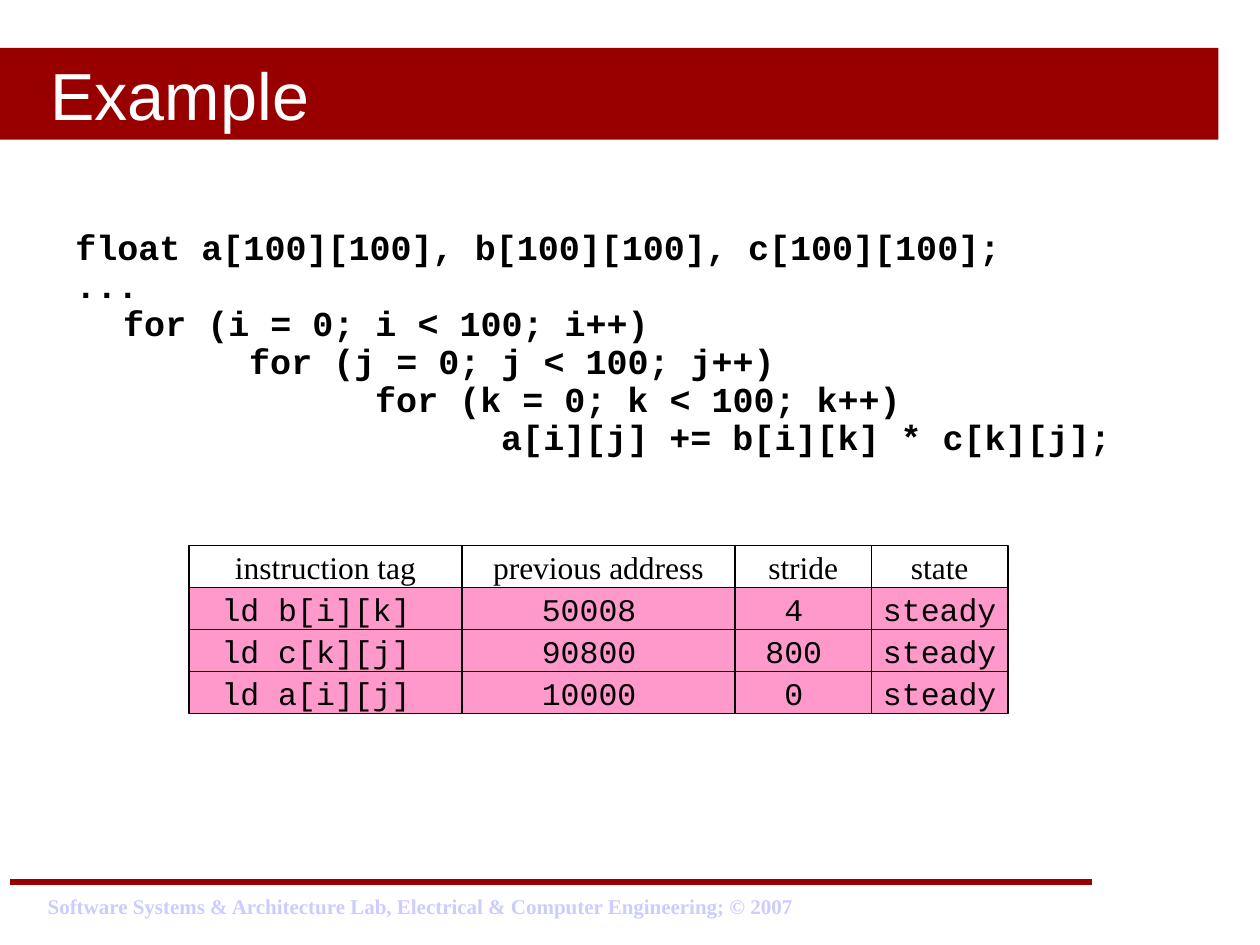
from itertools import accumulate

from pptx import Presentation
from pptx.dml.color import RGBColor
from pptx.enum.shapes import MSO_CONNECTOR as CONN, MSO_SHAPE as SHAPE
from pptx.enum.text import MSO_ANCHOR as ANCHOR, PP_ALIGN as ALIGN
from pptx.oxml.ns import qn
from pptx.util import Inches, Pt
from lxml.etree import SubElement

TITLE = "Example"
FOOTER = "Software Systems & Architecture Lab, Electrical & Computer Engineering; © 2007"
CODE = [
    (0, "float a[100][100], b[100][100], c[100][100];"),
    (0, "..."),
    (0.38, "for (i = 0; i < 100; i++)"),
    (1.38, "for (j = 0; j < 100; j++)"),
    (2.38, "for (k = 0; k < 100; k++)"),
    (3.38, "a[i][j] += b[i][k] * c[k][j];"),
]
ROWS = [
    ("instruction tag", "previous address", "stride", "state"),
    ("ld b[i][k] ", "50008 ", "4 ", " steady "),
    ("ld c[k][j] ", "90800 ", "800 ", " steady "),
    ("ld a[i][j] ", "10000 ", "0 ", " steady "),
]
GRID_LEFT, GRID_TOP = 1.5, 4.33
UNIT = 13 / 12
COL_WIDTHS = [2 * UNIT, 2 * UNIT, UNIT, UNIT]
ROW_HEIGHT = 1 / 3
THEME = {
    "red": "980000", "pink": "FF99CC", "border": "000000",
    "title": ("Arial", 38, "FFFFFF", False),
    "code": ("Courier New", 20, "000000", True),
    "head": ("Times New Roman", 18, "000000", False),
    "cell": ("Courier New", 18, "000000", False),
    "footer": ("Times New Roman", 12, "CCCCFF", True),
}


def color(name):
    return RGBColor.from_string(THEME[name])


def add_run(p, text, style):
    name, size, rgb, bold = THEME[style]
    r = p.add_run()
    r.text = text
    r.font.name, r.font.size, r.font.bold = name, Pt(size), bold
    r.font.color.rgb = RGBColor.from_string(rgb)


def add_text_box(s, left, top, width, height, wrap):
    tf = s.shapes.add_textbox(*map(Inches, (left, top, width, height))).text_frame
    tf.word_wrap = wrap
    return tf


def add_box(s, left, top, width, height, text, style, align, fill=None, border=None):
    sp = s.shapes.add_shape(SHAPE.RECTANGLE, *map(Inches, (left, top, width, height)))
    sp.shadow.inherit = False
    if fill:
        sp.fill.solid()
        sp.fill.fore_color.rgb = color(fill)
    else:
        sp.fill.background()
    if border:
        sp.line.color.rgb = color(border)
        sp.line.width = Pt(0.75)
    else:
        sp.line.fill.background()
    tf = sp.text_frame
    tf.vertical_anchor = ANCHOR.MIDDLE
    tf.paragraphs[0].alignment = align
    add_run(tf.paragraphs[0], text, style)
    return tf


def add_title(s):
    tf = add_box(s, 0, 0.38, 9.67, 0.73, TITLE, "title", ALIGN.LEFT, "red")
    tf.margin_left = Inches(0.4)


def add_code(s):
    tf = add_text_box(s, 0.5, 1.83, 9, 2.04, True)
    for i, (indent, text) in enumerate(CODE):
        p = tf.add_paragraph() if i else tf.paragraphs[0]
        p.line_spacing = 0.7
        p.space_before = Pt(5)
        p._p.get_or_add_pPr().set("marL", str(Inches(indent)))
        add_run(p, text, "code")


def add_stride_grid(s):
    lefts = list(accumulate(COL_WIDTHS, initial=GRID_LEFT))
    for i, row in enumerate(ROWS):
        style, fill = ("cell", "pink") if i else ("head", None)
        top = GRID_TOP + i * ROW_HEIGHT
        for left, width, text in zip(lefts, COL_WIDTHS, row):
            tf = add_box(s, left, top, width, ROW_HEIGHT, text, style,
                         ALIGN.CENTER, fill, "border")
            tf.word_wrap = False


def add_footer(s):
    rule = s.shapes.add_connector(
        CONN.STRAIGHT, Inches(0.08), Inches(7), Inches(8.67), Inches(7))
    rule.line.color.rgb = color("red")
    rule.line.width = Pt(3)
    SubElement(rule._element.spPr, qn("a:effectLst"))
    tf = add_text_box(s, 0.28, 7.04, 6.14, 0.3, False)
    add_run(tf.paragraphs[0], FOOTER, "footer")


def main():
    prs = Presentation()
    prs.slide_width, prs.slide_height = Inches(10), Inches(7.5)
    s = prs.slides.add_slide(prs.slide_layouts[6])
    add_footer(s)
    add_title(s)
    add_code(s)
    add_stride_grid(s)
    prs.save("out.pptx")


if __name__ == "__main__":
    main()
